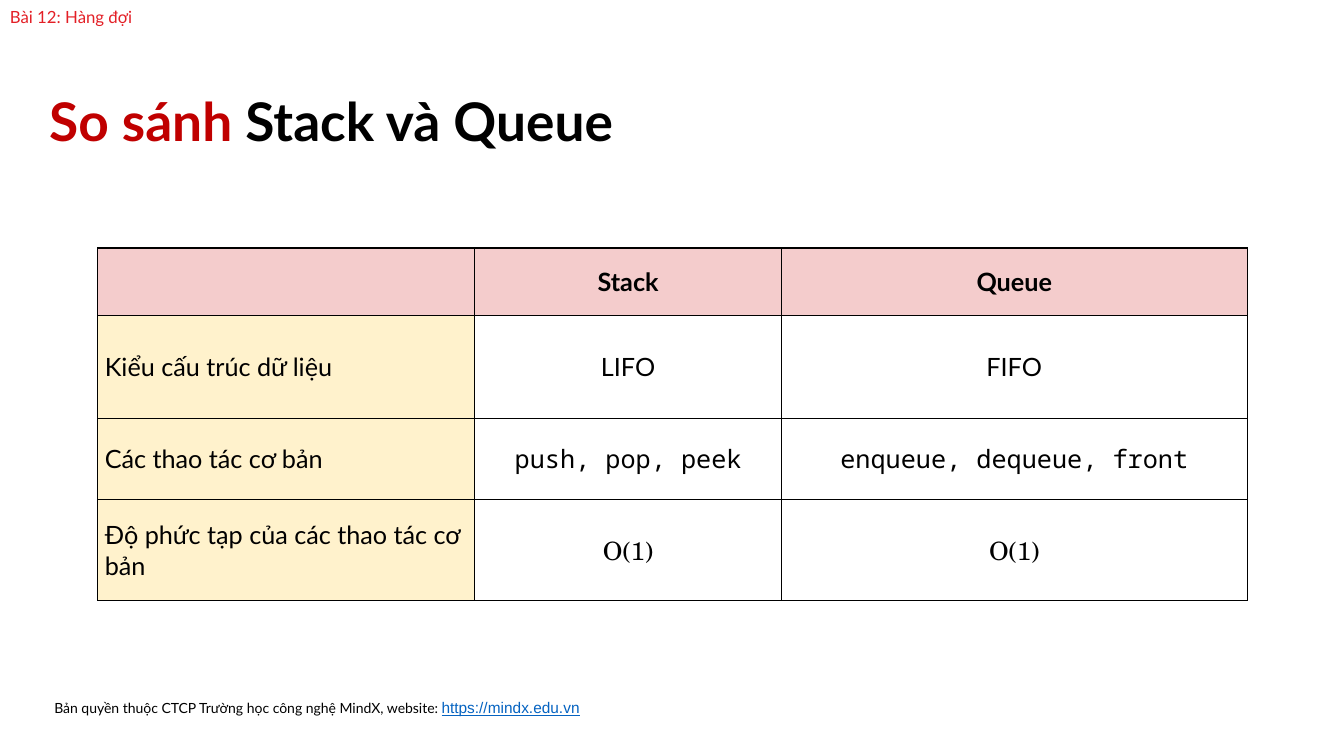
"""Builds a slide that compares Stack and Queue in a table."""
from lxml import etree
from pptx import Presentation
from pptx import util as u
from pptx.dml.color import RGBColor
from pptx.enum import text as t
from pptx.oxml.ns import qn


def color(hex_code):
    return RGBColor.from_string(hex_code)


def write(paragraph, wording, size=18, font="Lato", ink="000000", bold=False, underline=False):
    run = paragraph.add_run()
    run.text = wording
    run.font.size = u.Pt(size)
    run.font.name = font
    run.font.bold = bold
    run.font.underline = underline
    run.font.color.rgb = color(ink)


deck = Presentation()
deck.slide_width = u.Inches(13.33)
deck.slide_height = u.Inches(7.5)
slide = deck.slides.add_slide(deck.slide_layouts[6])

captions = [
    ((0, 0, 3.6, 0.38), 0.1, 0.9, 0, True,
     [("Bài 12: Hàng đợi", dict(size=12, ink="E31F26"))]),
    ((0.44, 6.85, 6.89, 0.43), 0.1, 0.9, 16, False,
     [("Bản quyền thuộc CTCP Trường học công nghệ MindX, website: ", dict(size=10)),
      ("https://mindx.edu.vn", dict(size=11, font="Arial", ink="0563C1", underline=True))]),
    ((0.39, 0.83, 7.16, 0.74), 0.05, 1.0, 0, True,
     [("So sánh ", dict(size=38, ink="C00000", bold=True)),
      ("Stack và Queue", dict(size=38, bold=True))]),
]
for place, inset, spacing, after, grows, pieces in captions:
    frame = slide.shapes.add_textbox(*map(u.Inches, place)).text_frame
    frame.word_wrap = True
    frame.auto_size = t.MSO_AUTO_SIZE.SHAPE_TO_FIT_TEXT if grows else t.MSO_AUTO_SIZE.NONE
    frame.margin_top = frame.margin_bottom = u.Inches(inset)
    line = frame.paragraphs[0]
    line.line_spacing = spacing
    line.space_after = u.Pt(after)
    for wording, look in pieces:
        write(line, wording, **look)

comparison = [
    ("", "Stack", "Queue"),
    ("Kiểu cấu trúc dữ liệu", "LIFO", "FIFO"),
    ("Các thao tác cơ bản", "push, pop, peek", "enqueue, dequeue, front"),
    ("Độ phức tạp của các thao tác cơ bản", "O(1)", "O(1)"),
]
widths = [3.74, 3.04, 4.62]
heights = [0.67, 1.02, 0.81, 1]
value_fonts = ["Lato", "Lato", "Noto Sans Mono", "TeX Gyre Schola"]

grid = slide.shapes.add_table(
    len(heights), len(widths), u.Inches(0.97), u.Inches(2.46),
    u.Inches(sum(widths)), u.Inches(sum(heights))).table
grid.first_row = grid.horz_banding = False
for column, width in zip(grid.columns, widths):
    column.width = u.Inches(width)

for r, criterion in enumerate(comparison):
    grid.rows[r].height = u.Inches(heights[r])
    for c, wording in enumerate(criterion):
        cell = grid.cell(r, c)
        cell.vertical_anchor = t.MSO_ANCHOR.MIDDLE
        cell.margin_left = cell.margin_right = u.Inches(0.07)
        cell.margin_top = cell.margin_bottom = u.Inches(0.07)

        properties = cell._tc.get_or_add_tcPr()
        for side in ("a:lnL", "a:lnR", "a:lnT", "a:lnB"):
            border = etree.SubElement(properties, qn(side), w=str(u.Pt(1)))
            ink = etree.SubElement(border, qn("a:solidFill"))
            etree.SubElement(ink, qn("a:srgbClr"), val="000000")

        if r == 0 or c == 0:
            cell.fill.solid()
            cell.fill.fore_color.rgb = color("F4CCCC" if r == 0 else "FFF2CC")
        else:
            cell.fill.background()

        entry = cell.text_frame.paragraphs[0]
        entry.alignment = t.PP_ALIGN.CENTER if c else t.PP_ALIGN.LEFT
        if wording:
            write(entry, wording, font=value_fonts[r] if c else "Lato", bold=r == 0)

deck.save("out.pptx")
